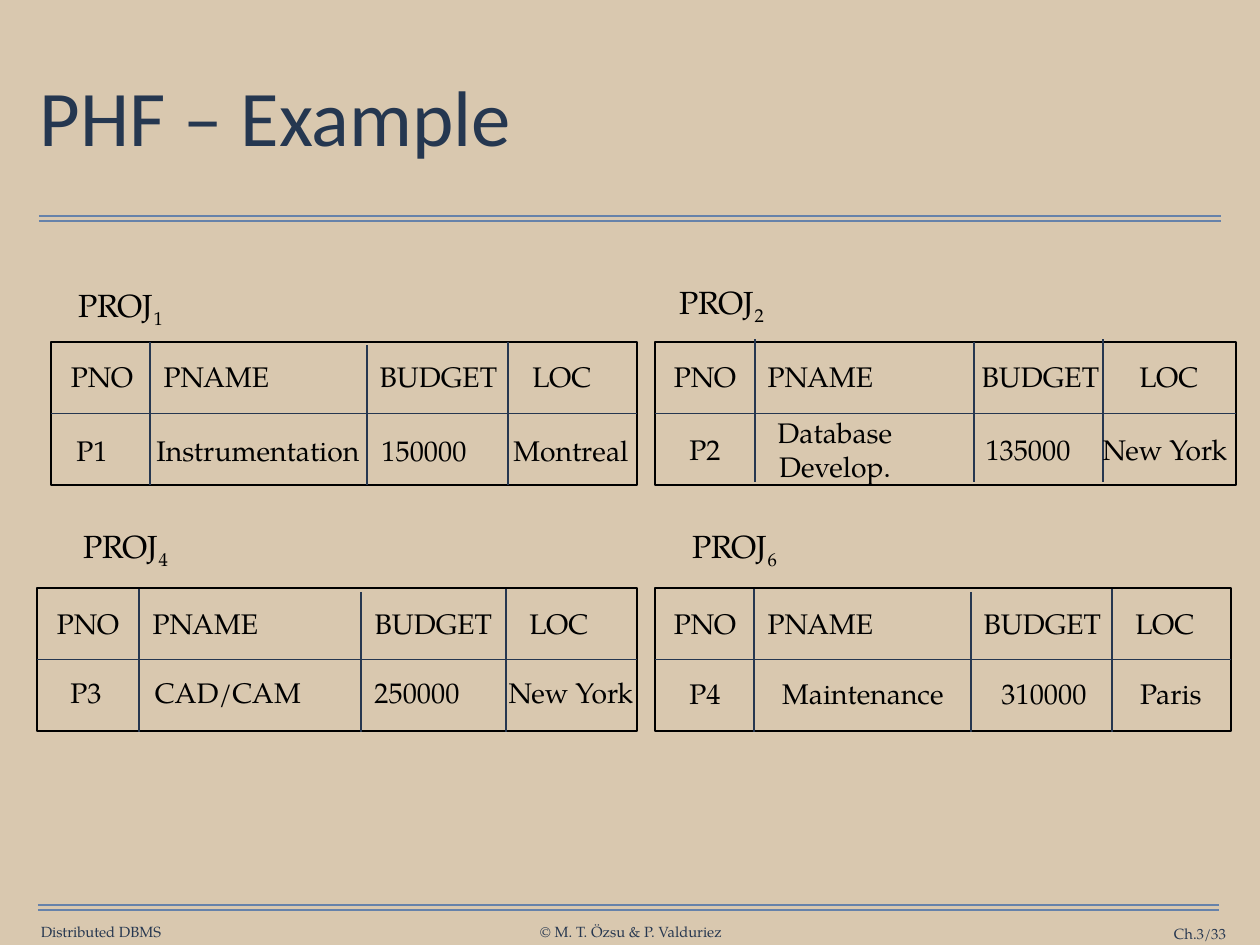
from dataclasses import dataclass

from lxml.etree import SubElement
from pptx import Presentation
from pptx.dml.color import RGBColor
from pptx.enum.shapes import MSO_CONNECTOR as Conn, MSO_SHAPE as Shape
from pptx.enum.text import MSO_ANCHOR as Anchor, MSO_AUTO_SIZE as AutoSize, PP_ALIGN as Align
from pptx.oxml.ns import qn
from pptx.shapes.connector import Connector
from pptx.slide import Slide
from pptx.text.text import TextFrame, _Paragraph as Paragraph
from pptx.util import Emu, Pt

SCALE = 10320


def px(n: int) -> Emu:
    return Emu(n * SCALE)


@dataclass(frozen=True)
class Theme:
    background: str = "D9C8AF"
    title: str = "253750"
    ink: str = "000000"
    grid: str = "263750"
    rule: str = "6682AA"
    title_font: str = "Calibri"
    body_font: str = "TeX Gyre Pagella"
    title_size: int = 64
    label_size: int = 26
    cell_size: int = 23
    footer_size: int = 12
    line_width: int = 1


@dataclass(frozen=True)
class Inset:
    x: int
    y: int


THEME = Theme()
NONE, NARROW, WIDE = Inset(0, 0), Inset(9, 4), Inset(12, 6)
HEADER = ("PNO", "PNAME", "BUDGET", "LOC")
TEXT_WIDTHS = {
    "PNO": 64, "PNAME": 107, "BUDGET": 119, "LOC": 60,
    "P1": 32, "P2": 32, "P3": 32, "P4": 32,
    "Instrumentation": 206, "Database\nDevelop.": 116, "CAD/CAM": 152, "Maintenance": 164,
    "150000": 86, "135000": 86, "250000": 86, "310000": 86,
    "Montreal": 120, "New York": 128, "Paris": 64,
}
LINE_HEIGHT = 34
TABLE_HEIGHT = 143
MIDDLE_DIVIDER_DROP = 3


@dataclass(frozen=True)
class Row:
    top: int
    lefts: tuple[int, ...]
    values: tuple[str, ...] = HEADER
    inset: Inset = WIDE


@dataclass(frozen=True)
class Fragment:
    number: str
    label_at: tuple[int, int]
    top: int
    left: int
    right: int
    divider_top: int
    dividers: tuple[int, int, int]
    rows: tuple[Row, Row]


@dataclass(frozen=True)
class Footer:
    text: str
    box: tuple[int, int, int, int]
    align: Align


@dataclass(frozen=True)
class Rule:
    left: int
    right: int
    y: int


FRAGMENTS = (
    Fragment("1", (76, 286), 342, 51, 637, 342, (150, 367, 508), (
        Row(359, (70, 163, 379, 532), inset=NARROW),
        Row(433, (76, 155, 381, 511), ("P1", "Instrumentation", "150000", "Montreal")))),
    Fragment("2", (677, 283), 342, 655, 1236, 339, (755, 974, 1103), (
        Row(359, (673, 767, 981, 1139)),
        Row(432, (689, 777, 985, 1101), ("P2", "Database\nDevelop.", "135000", "New York")))),
    Fragment("4", (81, 527), 588, 37, 637, 589, (139, 361, 506), (
        Row(606, (56, 152, 374, 529), inset=NARROW),
        Row(675, (70, 152, 374, 507), ("P3", "CAD/CAM", "250000", "New York")))),
    Fragment("6", (690, 527), 588, 655, 1231, 589, (754, 971, 1112), (
        Row(606, (673, 767, 983, 1135), inset=NARROW),
        Row(676, (689, 781, 1001, 1139), ("P4", "Maintenance", "310000", "Paris")))),
)
FOOTERS = (
    Footer("Distributed DBMS", (40, 923, 122, 18), Align.CENTER),
    Footer("© M. T. Özsu & P. Valduriez", (539, 923, 184, 18), Align.CENTER),
    Footer("Ch.3/33", (1090, 925, 136, 18), Align.RIGHT),
)
RULES = (Rule(39, 1221, 216), Rule(39, 1221, 221), Rule(38, 1219, 905), Rule(38, 1219, 910))


def add_run(p: Paragraph, text: str, size: int, color: str,
            font: str = THEME.body_font, baseline: int = 0) -> None:
    r = p.add_run()
    r.text = text
    r.font.name = font
    r.font.size = Pt(size)
    r.font.color.rgb = RGBColor.from_string(color)
    if baseline:
        r._r.get_or_add_rPr().set("baseline", str(baseline))


def set_inset(tf: TextFrame, inset: Inset) -> None:
    tf.margin_left = tf.margin_right = px(inset.x)
    tf.margin_top = tf.margin_bottom = px(inset.y)


def add_text(s: Slide, left: int, top: int, width: int, height: int,
             inset: Inset = NONE) -> TextFrame:
    box = (left - inset.x, top - inset.y, width + 2 * inset.x, height + 2 * inset.y)
    tf = s.shapes.add_textbox(*map(px, box)).text_frame
    tf.word_wrap = False
    set_inset(tf, inset)
    return tf


def add_line(s: Slide, x1: int, y1: int, x2: int, y2: int, color: str) -> Connector:
    line = s.shapes.add_connector(Conn.STRAIGHT, px(x1), px(y1), px(x2), px(y2))
    line.line.color.rgb = RGBColor.from_string(color)
    line.line.width = Pt(THEME.line_width)
    SubElement(line._element.spPr, qn("a:effectLst"))
    return line


def draw_title(s: Slide, text: str) -> None:
    sp = s.shapes.title
    sp.left, sp.top, sp.width, sp.height = map(px, (35, 43, 1191, 156))
    tf = sp.text_frame
    tf.auto_size = AutoSize.NONE
    tf.vertical_anchor = Anchor.MIDDLE
    set_inset(tf, Inset(5, 5))
    p = tf.paragraphs[0]
    p.alignment = Align.LEFT
    p.line_spacing = 0.9
    add_run(p, text, THEME.title_size, THEME.title, THEME.title_font)


def draw_footer(s: Slide, footer: Footer) -> None:
    tf = add_text(s, *footer.box)
    tf.word_wrap = True
    tf.vertical_anchor = Anchor.MIDDLE
    p = tf.paragraphs[0]
    p.alignment = footer.align
    add_run(p, footer.text, THEME.footer_size, THEME.grid)


def draw_label(s: Slide, fragment: Fragment) -> None:
    p = add_text(s, *fragment.label_at, 89, 39, WIDE).paragraphs[0]
    p.alignment = Align.CENTER
    add_run(p, "PROJ", THEME.label_size, THEME.ink)
    add_run(p, fragment.number, THEME.label_size, THEME.ink, baseline=-25000)


def draw_grid(s: Slide, fragment: Fragment) -> None:
    left, right, top = fragment.left, fragment.right, fragment.top
    frame = s.shapes.add_shape(
        Shape.RECTANGLE, px(left), px(top), px(right - left), px(TABLE_HEIGHT))
    frame.shadow.inherit = False
    frame.fill.background()
    frame.line.color.rgb = RGBColor.from_string(THEME.ink)
    frame.line.width = Pt(THEME.line_width)
    for i, x in enumerate(fragment.dividers):
        start = fragment.divider_top + (MIDDLE_DIVIDER_DROP if i == 1 else 0)
        add_line(s, x, start, x, fragment.divider_top + TABLE_HEIGHT, THEME.grid)
    middle = top + TABLE_HEIGHT // 2
    row_line = add_line(s, left, middle, right, middle, THEME.grid)
    row_line.begin_connect(frame, 1)
    row_line.end_connect(frame, 3)


def draw_row(s: Slide, row: Row) -> None:
    for text, left in zip(row.values, row.lefts):
        lines = text.split("\n")
        height = LINE_HEIGHT * len(lines)
        top = row.top - (height - LINE_HEIGHT) // 2
        tf = add_text(s, left, top, TEXT_WIDTHS[text], height, row.inset)
        for i, line in enumerate(lines):
            p = tf.add_paragraph() if i else tf.paragraphs[0]
            p.alignment = Align.CENTER
            add_run(p, line, THEME.cell_size, THEME.ink)


def main() -> None:
    prs = Presentation()
    prs.slide_width, prs.slide_height = px(1260), px(945)
    s = prs.slides.add_slide(prs.slide_layouts.get_by_name("Title Only"))
    s.background.fill.solid()
    s.background.fill.fore_color.rgb = RGBColor.from_string(THEME.background)
    for rule in RULES:
        add_line(s, rule.left, rule.y, rule.right, rule.y, THEME.rule)
    for footer in FOOTERS:
        draw_footer(s, footer)
    draw_title(s, "PHF – Example")
    for fragment in FRAGMENTS:
        draw_label(s, fragment)
        draw_grid(s, fragment)
        for row in fragment.rows:
            draw_row(s, row)
    prs.save("out.pptx")


if __name__ == "__main__":
    main()
